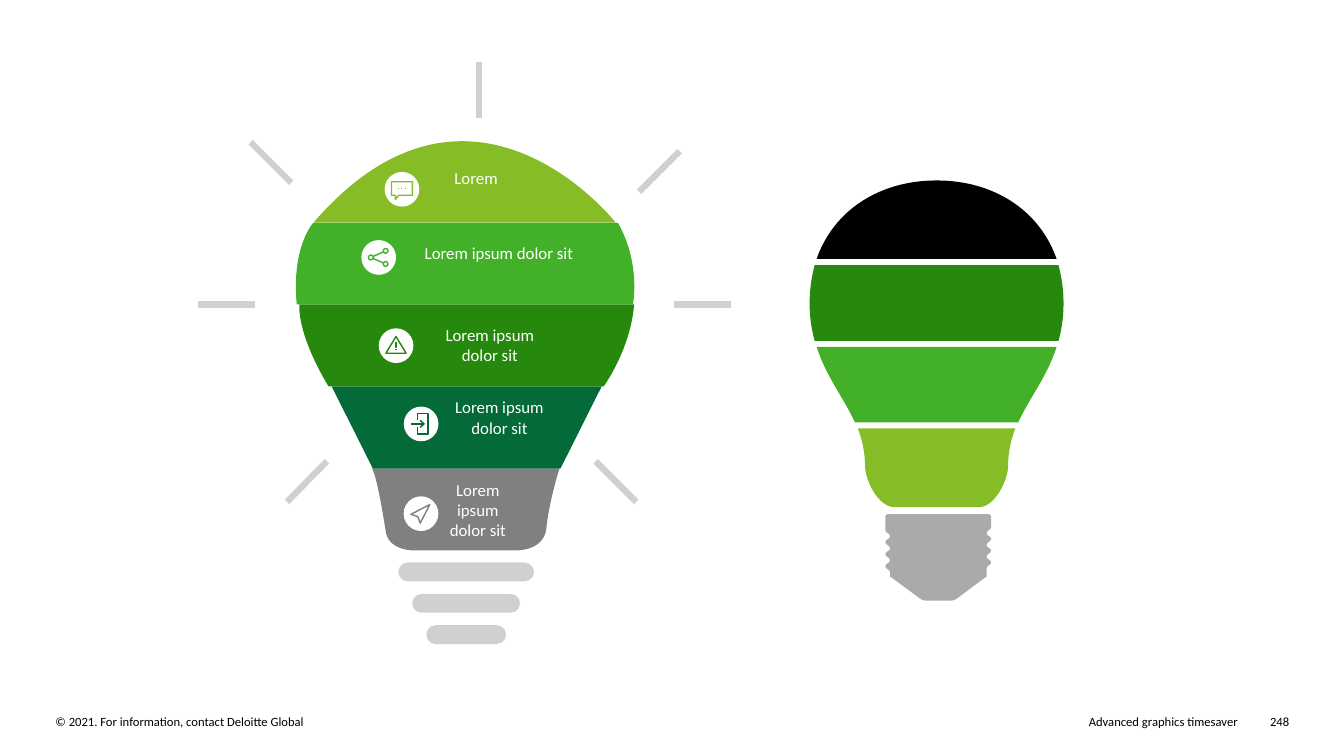
from lxml import etree
from pptx import Presentation
from pptx.dml.color import RGBColor
from pptx.enum import shapes as kinds, text as txt
from pptx.oxml.ns import qn
from pptx.util import Pt

HUE = {
    "black": "000000", "white": "FFFFFF", "lime": "86BC25", "green": "43B02A",
    "leaf": "26890D", "pine": "046A38", "gray": "808080", "pale": "D0D0CE",
    "slate": "53565A",
}
OVAL = kinds.MSO_SHAPE.OVAL
LEFT, MID, RIGHT = txt.PP_ALIGN.LEFT, txt.PP_ALIGN.CENTER, txt.PP_ALIGN.RIGHT


def pairs(path):
    """List all points of a path of (x, y) and (x1, y1, x2, y2, x, y) parts."""
    return [part[i:i + 2] for part in path for i in range(0, len(part), 2)]


def back(path):
    """The same path, run from its end to its start."""
    pts = pairs(path)[::-1]
    out, at = [pts[0]], 1
    for part in path[:0:-1]:
        size = len(part) // 2
        out.append(sum(pts[at:at + size], ()))
        at += size
    return out


def place(path, axis, sign):
    return [tuple(v if i % 2 else axis + sign * v for i, v in enumerate(part))
            for part in path]


def mirror(half, axis):
    """Close a right half, given as offsets from the axis, into a whole outline."""
    return place(half, axis, 1) + place(back(half), axis, -1)


def thread(near, far, top, step):
    """Wavy screw edge of seven half turns, starting at x near."""
    path = [(near, top)]
    for i in range(7):
        a, b = (near, far) if i % 2 == 0 else (far, near)
        y = top + i * step
        path.append((a, y + step / 2, b, y + step / 2, b, y + step))
    return path


class Deck:
    font = "Calibri"

    def __init__(self, wide, high):
        self.prs = Presentation()
        self.prs.slide_width, self.prs.slide_height = Pt(wide), Pt(high)
        self.slide = self.prs.slides.add_slide(self.prs.slide_layouts[6])
        self.items = self.slide.shapes

    def paint(self, item, fill=None, line=None):
        item.shadow.inherit = False
        for part, hue in ((item.fill, fill), (item.line.fill, line)):
            if hue:
                part.solid()
                part.fore_color.rgb = RGBColor.from_string(HUE[hue])
            else:
                part.background()
        if line:
            item.line.width = Pt(1)
        return item

    def shape(self, kind, x, y, w, h, fill, line=None):
        item = self.items.add_shape(kind, Pt(x), Pt(y), Pt(w), Pt(h))
        return self.paint(item, fill, line)

    def dot(self, x, y, size, fill, line=None):
        self.shape(OVAL, x - size / 2, y - size / 2, size, size, fill, line)

    def outline(self, path, fill):
        """Filled freeform; each run of three points of a curve becomes one Bezier."""
        pts = [(Pt(x), Pt(y)) for x, y in pairs(path)]
        pen = self.items.build_freeform(*pts[0])
        pen.add_line_segments(pts[1:], close=True)
        item = self.paint(pen.convert_to_shape(), fill)
        steps = iter(list(item._element.iter(qn("a:lnTo"))))
        for part in path[1:]:
            first = next(steps)
            if len(part) == 6:
                curve = etree.Element(qn("a:cubicBezTo"))
                first.addprevious(curve)
                for step in (first, next(steps), next(steps)):
                    curve.append(step[0])
                    step.getparent().remove(step)
        return item

    def line(self, x1, y1, x2, y2, hue, width):
        item = self.items.add_connector(
            kinds.MSO_CONNECTOR.STRAIGHT, Pt(x1), Pt(y1), Pt(x2), Pt(y2))
        item.line.color.rgb = RGBColor.from_string(HUE[hue])
        item.line.width = Pt(width)
        etree.SubElement(item._element.spPr, qn("a:effectLst"))

    def text(self, words, x, y, w, h, size, hue, align):
        frame = self.items.add_textbox(Pt(x), Pt(y), Pt(w), Pt(h)).text_frame
        frame.word_wrap = True
        frame.margin_left = frame.margin_right = frame.margin_top = frame.margin_bottom = 0
        para = frame.paragraphs[0]
        para.text, para.alignment = words, align
        para.font.name, para.font.size = self.font, Pt(size)
        para.font.color.rgb = RGBColor.from_string(HUE[hue])

    def icon(self, x, y, hue, strokes, rings=()):
        """White disc at a centre; strokes are (closed, offsets from the centre)."""
        self.dot(x, y, 24.8, "white")
        pen = None
        for closed, marks in strokes:
            pts = [(Pt(x + a), Pt(y + b)) for a, b in marks]
            if pen:
                pen.move_to(*pts[0])
            else:
                pen = self.items.build_freeform(*pts[0])
            pen.add_line_segments(pts[1:], close=closed)
        self.paint(pen.convert_to_shape(), line=hue)
        for a, b in rings:
            self.dot(x + a, y + b, 3.4, "white", hue)


BANDS = [
    ("gray", [(265.7, 334.8), (399.6, 334.8), (399.6, 334.8, 392.4, 357.1, 390.2, 378),
              (390.2, 378, 389.5, 394.6, 364.3, 393.1), (294.5, 393.1),
              (294.5, 393.1, 278.6, 393.1, 275.8, 380.9),
              (275.8, 380.9, 269.3, 338.4, 265.7, 334.8)]),
    ("pine", [(236.9, 276), (429.8, 276), (400.3, 334.8), (266.4, 334.8)]),
    ("leaf", [(213.8, 217.4), (452.9, 217.4), (452.9, 217.4, 452.2, 244.8, 431.3, 276),
              (234.7, 276), (234.7, 276, 213.1, 241.9, 213.8, 217.4)]),
    ("green", [(212, 217.4), (452.2, 217.4), (452.2, 217.4, 457.9, 187.9, 441.4, 159.1),
               (223.9, 159.1), (223.9, 159.1, 208.1, 175.7, 212, 217.4)]),
    ("lime", [(223.9, 159.1), (439.9, 159.1), (439.9, 159.1, 337, 28.1, 223.9, 159.1)]),
]
RAYS = [
    (342, 44, 342, 84.5), (522, 217.5, 481.5, 217.5), (182, 217.5, 141.5, 217.5),
    (208, 130.5, 179, 101.5), (456.5, 137, 485.5, 108),
    (233.5, 329.5, 205, 358.5), (425.5, 329.5, 454.5, 358.5),
]
LABELS = [
    ("Lorem", 314.6, 119.5, 51, 14.4), ("Lorem ipsum dolor sit", 299.5, 173.5, 113.8, 14.4),
    ("Lorem ipsum dolor sit", 306.7, 232, 86.4, 28.8),
    ("Lorem ipsum dolor sit", 316.8, 283.7, 79.9, 28.8),
    ("Lorem ipsum dolor sit", 313.2, 342.7, 56.2, 43.9),
]
ICONS = [
    (287.1, 135.2, "lime",
     [(True, [(-7.5, -5.4), (7.5, -5.4), (7.5, 4.3), (-2.2, 4.3), (-4.7, 7.2),
              (-4.7, 4.3), (-7.5, 4.3)])]
     + [(False, [(x - 0.3, -0.7), (x + 0.3, -0.7)]) for x in (-2.2, 0, 2.2)]),
    (270.5, 183.9, "green", [(False, [(5, -4.7), (-5.6, 0), (5, 4.7)])],
     [(-5.6, 0), (5, -4.7), (5, 4.7)]),
    (282.9, 246.9, "leaf",
     [(True, [(0, -6.5), (7.2, 5.4), (-7.2, 5.4)]), (False, [(0, -2.9), (0, 1.4)]),
      (False, [(0, 2.7), (0, 3.3)])]),
    (300.8, 302.8, "pine",
     [(False, [(-2.5, -2.5), (-2.5, -7.2), (5, -7.2), (5, 7.2), (-2.5, 7.2), (-2.5, 2.2)]),
      (False, [(-7.2, 0), (2.2, 0)]), (False, [(-0.7, -2.5), (2.2, 0), (-0.7, 2.5)])]),
    (300.7, 366.9, "gray", [(True, [(6.3, -6.5), (-0.5, 6.8), (-2.2, 2.2), (-7.2, 0.5)])]),
]
AXIS = 669
HALVES = [
    ("black", [(0, 128.9), (40.3, 128.9, 73.4, 149.8, 85.7, 185)]),
    ("leaf", [(87.1, 189.4), (89.3, 198, 90.7, 206.6, 90.7, 216.7),
              (90.7, 226.8, 89.3, 235.4, 87.1, 243.4)]),
    ("green", [(85.7, 247.7), (79.2, 268.6, 66.2, 284.4, 58.3, 301.7)]),
    ("lime", [(56.2, 306), (53.3, 313.9, 51.1, 322.6, 51.1, 332.6),
              (51.1, 342.7, 41.8, 362.2, 30.2, 362.2)]),
]
FOOT = [(635.8, 411.8), (657.4, 427.7), (658.5, 428.6, 660, 429.1, 661.7, 429.1),
        (679, 429.1), (680.5, 429.1, 682, 428.6, 683.3, 427.7), (704.7, 411.8)]
HEAD = [(707.9, 369), (707.9, 368, 707, 367.2, 705.6, 367.2), (634.5, 367.2),
        (633.2, 367.2, 632.4, 368, 632.4, 369)]


def main():
    deck = Deck(960, 540)
    deck.text("© 2021. For information, contact Deloitte Global",
              39.6, 509.8, 422, 10.8, 9, "black", LEFT)
    deck.text("Advanced graphics timesaver", 499, 509.8, 385, 10.8, 9, "black", RIGHT)
    deck.text("248", 896.4, 509.8, 24.5, 10.8, 9, "black", RIGHT)

    for hue, path in BANDS:
        deck.outline(path, hue)
    for i in range(3):
        wide = 97 - 20 * i
        base = deck.shape(kinds.MSO_SHAPE.ROUNDED_RECTANGLE, 333 - wide / 2,
                          401.8 + 22.4 * i, wide, 13.5, "pale")
        base.adjustments[0] = 0.5
    for ray in RAYS:
        deck.line(*ray, "pale", 4.5)
    for label in LABELS:
        deck.text(*label, 12, "white", MID)
    for icon in ICONS:
        deck.icon(*icon)

    for hue, half in HALVES:
        deck.outline(mirror(half, AXIS), hue)
    left = thread(632.4, 635.8, 378.7, 4.3)
    right = back(thread(707.9, 704.7, 376.6, 4.2))
    screw = deck.outline(left + FOOT + right + HEAD, "slate")
    tint = next(screw._element.spPr.iter(qn("a:srgbClr")))
    etree.SubElement(tint, qn("a:alpha")).set("val", "50000")

    deck.prs.save("out.pptx")


if __name__ == "__main__":
    main()
